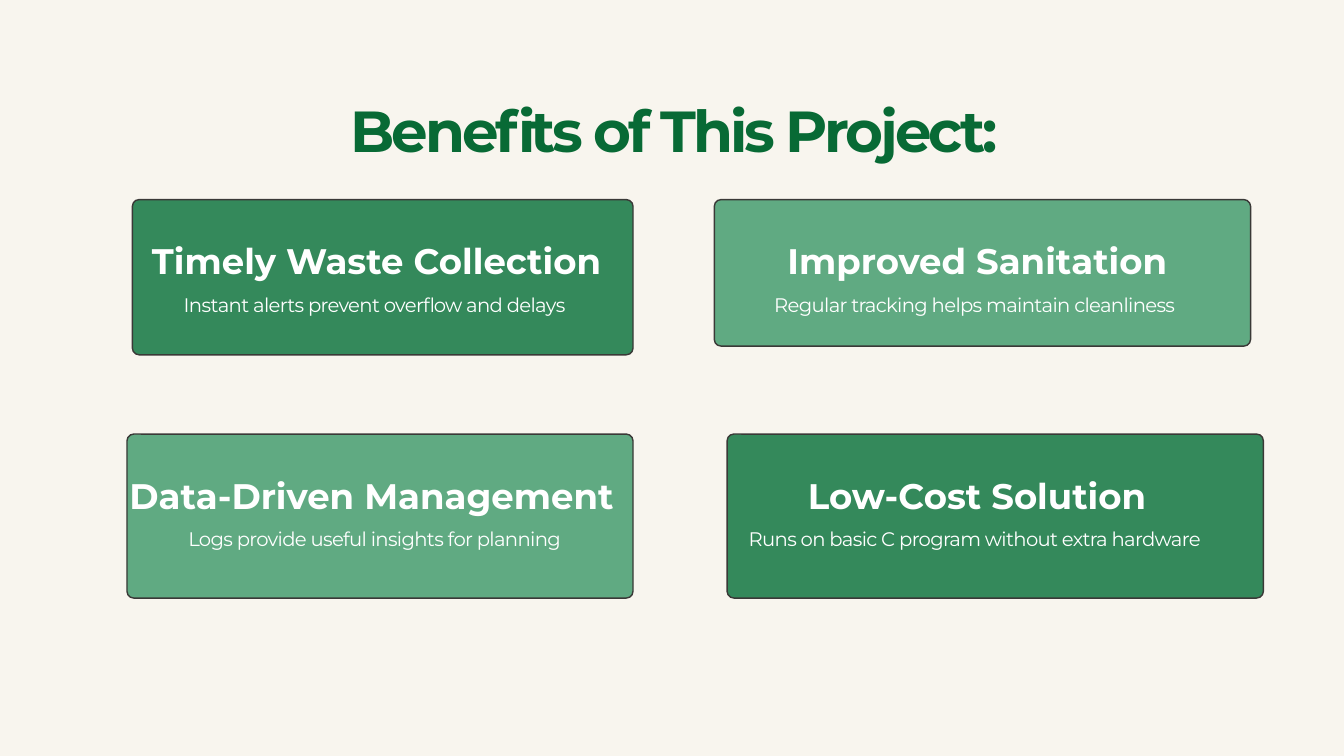
from pptx import Presentation
from pptx import util as u
from pptx.dml.color import RGBColor
from pptx.enum import shapes, text

FONT = "Montserrat"
COLORS = {
    "background": "F8F5EE",
    "title": "086A35",
    "dark": "34895B",
    "light": "60AA82",
    "outline": "3A3937",
    "white": "FFFFFF",
}
CORNER = 0.1


def color(name):
    return RGBColor.from_string(COLORS[name])


def add_text(slide, box, words, size, line_height, color_name, bold=False, tracking=0):
    shape = slide.shapes.add_textbox(*[u.Inches(value) for value in box])
    frame = shape.text_frame
    frame.word_wrap = True
    frame.auto_size = text.MSO_AUTO_SIZE.SHAPE_TO_FIT_TEXT
    frame.margin_left = frame.margin_right = u.Inches(0)
    frame.margin_top = frame.margin_bottom = u.Inches(0)
    paragraph = frame.paragraphs[0]
    paragraph.alignment = text.PP_ALIGN.CENTER
    paragraph.line_spacing = u.Pt(line_height)
    run = paragraph.add_run()
    run.text = words
    run.font.name = FONT
    run.font.size = u.Pt(size)
    run.font.bold = bold
    run.font.color.rgb = color(color_name)
    if tracking:
        run._r.get_or_add_rPr().set("spc", str(round(tracking * 100)))


presentation = Presentation()
presentation.slide_width = u.Inches(20)
presentation.slide_height = u.Inches(11.25)
slide = presentation.slides.add_slide(presentation.slide_layouts[6])
slide.background.fill.solid()
slide.background.fill.fore_color.rgb = color("background")

add_text(slide, (1.2, 1.51, 17.67, 0.96), "Benefits of This Project:",
         62, 67, "title", bold=True, tracking=-3.3)

cards = [
    ((1.97, 2.97, 7.45, 2.31), "dark", (1.65, 7.76), " Timely Waste Collection",
     1.89, " Instant alerts prevent overflow and delays"),
    ((10.63, 2.97, 7.98, 2.18), "light", (10.59, 7.76), " Improved Sanitation",
     10.82, " Regular tracking helps maintain cleanliness"),
    ((1.89, 6.46, 7.53, 2.44), "light", (1.65, 7.76), "Data-Driven Management",
     1.89, " Logs provide useful insights for planning"),
    ((10.82, 6.46, 7.98, 2.44), "dark", (10.32, 8.29), " Low-Cost Solution",
     10.82, " Runs on basic C program without extra hardware"),
]

for box, fill, (heading_left, heading_width), heading, detail_left, detail in cards:
    card = slide.shapes.add_shape(shapes.MSO_SHAPE.ROUNDED_RECTANGLE,
                                  *[u.Inches(value) for value in box])
    card.adjustments[0] = CORNER / box[3]
    card.shadow.inherit = False
    card.fill.solid()
    card.fill.fore_color.rgb = color(fill)
    card.line.color.rgb = color("outline")
    card.line.width = u.Pt(1.5)

    top = box[1]
    add_text(slide, (detail_left, top + 1.29, 7.3, 0.41), detail,
             21, 31.9, "white", tracking=-0.7)
    add_text(slide, (heading_left, top + 0.66, heading_width, 0.58), heading,
             38, 40.7, "white", bold=True)

presentation.save("out.pptx")
